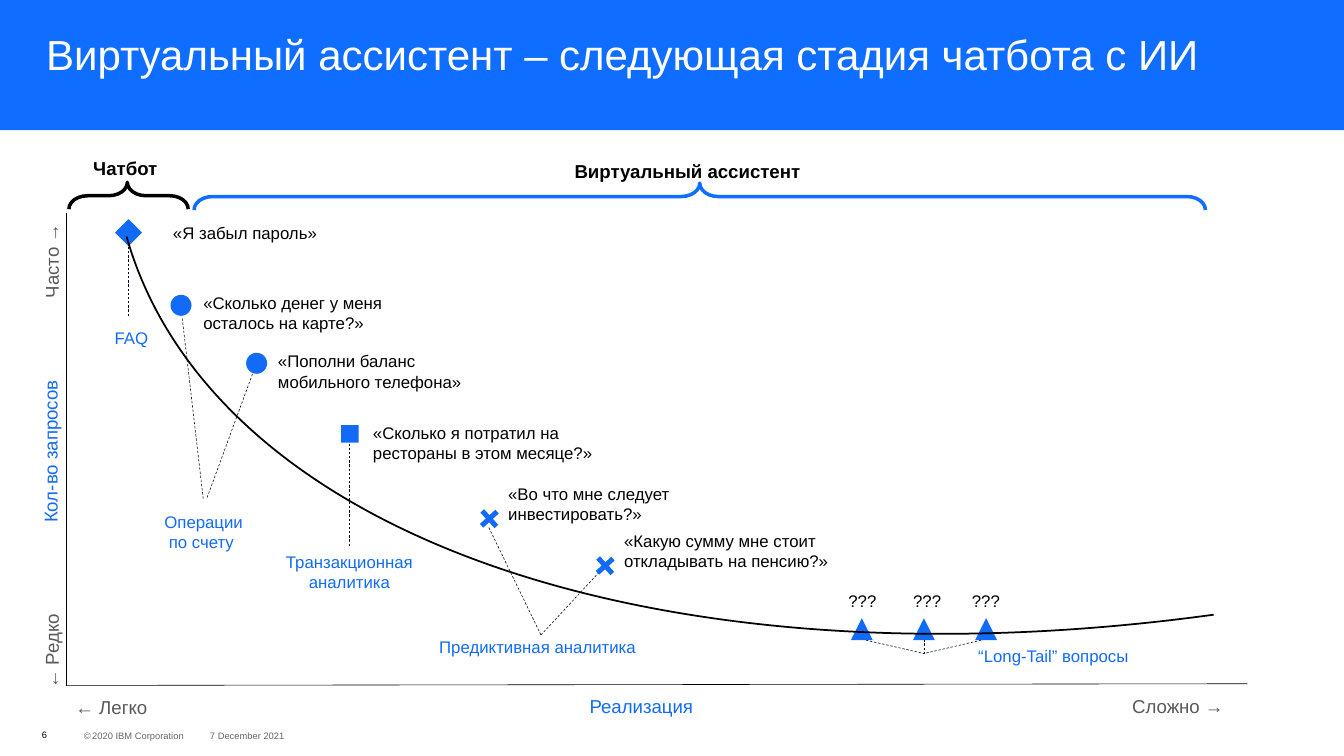
"""Builds a slide on moving from a chatbot to a virtual assistant."""
from dataclasses import dataclass

import lxml.etree
import pptx
import pptx.dml.color
import pptx.enum.dml
import pptx.enum.shapes
import pptx.enum.text
import pptx.oxml.ns
import pptx.util

Inches = pptx.util.Inches
Shape = pptx.enum.shapes.MSO_SHAPE
Align = pptx.enum.text.PP_ALIGN
Anchor = pptx.enum.text.MSO_ANCHOR


@dataclass(frozen=True)
class Theme:
    font: str = "Arial"
    banner: str = "0F6DFF"
    accent: str = "126BF6"
    ink: str = "000000"
    white: str = "FFFFFF"
    axis_end: str = "595959"
    footer: str = "666666"
    leader: str = "030C2C"
    title_size: float = 36
    axis_size: float = 16
    label_size: float = 14.4
    footer_size: float = 8
    gap_size: float = 4
    thin: float = 0.5
    curve: float = 1.5
    brace: float = 3


class SlideBuilder:
    def __init__(self, slide, theme):
        self.shapes = slide.shapes
        self.theme = theme

    def color(self, value):
        return pptx.dml.color.RGBColor.from_string(value)

    def text(self, box, runs, color, align=Align.LEFT, inset=(0, 0), rotation=0,
             bold=False, anchor=Anchor.TOP, spacing=None):
        label = self.shapes.add_textbox(*map(Inches, box))
        label.rotation = rotation
        frame = label.text_frame
        frame.word_wrap = True
        frame.vertical_anchor = anchor
        frame.margin_left = frame.margin_right = Inches(inset[0])
        frame.margin_top = frame.margin_bottom = Inches(inset[1])
        paragraph = frame.paragraphs[0]
        paragraph.alignment = align
        if spacing:
            paragraph.line_spacing = spacing
        for words, size in runs:
            run = paragraph.add_run()
            run.text = words
            run.font.name = self.theme.font
            run.font.size = pptx.util.Pt(size)
            run.font.bold = bold
            run.font.color.rgb = self.color(color)

    def label(self, box, words, color, align=Align.LEFT):
        self.text(box, [(words, self.theme.label_size)], color, align)

    def axis_label(self, box, words, color, align=Align.LEFT, rotation=0):
        self.text(box, [(words, self.theme.axis_size)], color, align, (0.1, 0.05), rotation)

    def footer(self, box, runs, color):
        self.text(box, runs, color, anchor=Anchor.MIDDLE)

    def preset(self, kind, box, rotation, adjustments):
        shape = self.shapes.add_shape(kind, *map(Inches, box))
        shape.shadow.inherit = False
        shape.rotation = rotation
        for index, value in enumerate(adjustments):
            shape.adjustments[index] = value
        return shape

    def solid(self, kind, box, color, rotation=0, adjustments=()):
        shape = self.preset(kind, box, rotation, adjustments)
        shape.fill.solid()
        shape.fill.fore_color.rgb = self.color(color)
        shape.line.fill.background()

    def outline(self, kind, box, color, width, rotation, adjustments):
        shape = self.preset(kind, box, rotation, adjustments)
        shape.fill.background()
        shape.line.color.rgb = self.color(color)
        shape.line.width = pptx.util.Pt(width)

    def line(self, start, end, color, dashed=False):
        connector = self.shapes.add_connector(
            pptx.enum.shapes.MSO_CONNECTOR.STRAIGHT, *map(Inches, (*start, *end)))
        connector.line.color.rgb = self.color(color)
        connector.line.width = pptx.util.Pt(self.theme.thin)
        if dashed:
            connector.line.dash_style = pptx.enum.dml.MSO_LINE.DASH
        lxml.etree.SubElement(connector._element.spPr, pptx.oxml.ns.qn("a:effectLst"))


def draw_header_and_footer(page, theme):
    page.solid(Shape.RECTANGLE, (0, 0, 16, 1.55), theme.banner)
    page.text((0.55, 0.41, 15, 1.25),
              [("Виртуальный ассистент – следующая стадия чатбота c ИИ", theme.title_size)],
              theme.white, spacing=0.9)
    size = theme.footer_size
    page.footer((0.5, 8.63, 0.36, 0.24), [("6", size)], theme.ink)
    page.footer((1, 8.64, 1.4, 0.24),
                [("©", size), (" ", theme.gap_size), ("2020 IBM Corporation", size)],
                theme.footer)
    page.footer((2.5, 8.64, 1.5, 0.24), [("7 December 2021", size)], theme.footer)


def draw_axes(page, theme):
    for box, words, rotation in [
        ((0.8, 8.24, 4.72, 0.37), "← Легко", 0),
        ((13.38, 8.22, 1.47, 0.37), "Сложно →", 0),
        ((-0.14, 7.36, 1.51, 0.37), "← Редко", 270),
        ((0.01, 2.86, 1.21, 0.37), "Часто →", 270),
    ]:
        page.axis_label(box, words, theme.axis_end, rotation=rotation)
    page.axis_label((6.58, 8.22, 2.11, 0.37), "Реализация", theme.accent, Align.CENTER)
    page.axis_label((-0.73, 5.19, 2.66, 0.37), "Кол-во запросов", theme.accent,
                    Align.CENTER, 270)
    page.line((0.79, 2.54), (0.79, 8.17), theme.ink)
    page.line((14.85, 8.14), (0.8, 8.16), theme.ink)


def draw_requests(page, theme):
    for start, end in [
        ((1.53, 2.94), (1.53, 3.76)),
        ((2.17, 3.79), (2.42, 5.94)),
        ((3.04, 4.36), (2.46, 5.94)),
        ((4.16, 5.28), (4.16, 6.5)),
        ((5.82, 6.28), (6.44, 7.56)),
        ((7.2, 6.74), (6.44, 7.56)),
        ((10.26, 7.61), (11, 7.78)),
        ((11, 7.61), (11, 7.78)),
        ((11.73, 7.61), (11, 7.78)),
    ]:
        page.line(start, end, theme.leader, dashed=True)

    for kind, left, top, side in [
        (Shape.DIAMOND, 1.37, 2.61, 0.32),
        (Shape.OVAL, 2.03, 3.51, 0.25),
        (Shape.OVAL, 2.93, 4.2, 0.25),
        (Shape.RECTANGLE, 4.06, 5.06, 0.21),
    ]:
        page.solid(kind, (left, top, side, side), theme.accent)
    for left, top in [(5.7, 6.05), (7.08, 6.61)]:
        page.solid(Shape.CROSS, (left, top, 0.25, 0.25), theme.accent, 47.6, [0.38])
    for index, unknown_left in enumerate([10.1, 10.87, 11.57]):
        page.solid(Shape.ISOSCELES_TRIANGLE, (10.13 + 0.74 * index, 7.36, 0.26, 0.26),
                   theme.accent)
        page.label((unknown_left, 7.03, 0.35, 0.24), "???", theme.ink)

    for box, question in [
        ((2.06, 2.65, 4.03, 0.24), "«Я забыл пароль»"),
        ((2.42, 3.48, 2.84, 0.48), "«Сколько денег у меня осталось на карте?»"),
        ((3.31, 4.18, 2.56, 0.48), "«Пополни баланс мобильного телефона»"),
        ((4.44, 5.03, 3.21, 0.48), "«Сколько я потратил на рестораны в этом месяце?»"),
        ((6.05, 5.76, 2.57, 0.48), "«Во что мне следует инвестировать?»"),
        ((7.43, 6.32, 2.57, 0.48), "«Какую сумму мне стоит откладывать на пенсию?»"),
    ]:
        page.label(box, question, theme.ink)
    for box, category in [
        ((1.26, 3.9, 0.61, 0.24), "FAQ"),
        ((1.86, 6.09, 1.13, 0.48), "Операции по счету "),
        ((3.2, 6.57, 1.92, 0.48), "Транзакционная аналитика"),
        ((5.1, 7.58, 2.6, 0.24), "Предиктивная аналитика"),
        ((10.92, 7.69, 3.24, 0.24), "“Long-Tail” вопросы"),
    ]:
        page.label(box, category, theme.accent, Align.CENTER)
    page.outline(Shape.ARC, (0.94, -9.38, 29.97, 16.23), theme.ink, theme.curve,
                 164.2, [177.34, 0])


def draw_stages(page, theme):
    for brace, color, tip, caption, words in [
        ((1.37, 1.62, 0.32, 1.42), theme.ink, 0.51, (1.11, 1.87, 0.95, 0.27), "Чатбот"),
        ((8.17, -3.68, 0.32, 12.04), theme.banner, 0.5, (6.84, 1.9, 2.98, 0.27),
         "Виртуальный ассистент"),
    ]:
        page.outline(Shape.LEFT_BRACE, brace, color, theme.brace, 90, [0.69, tip])
        page.text(caption, [(words, theme.axis_size)], theme.ink, bold=True)


def main():
    deck = pptx.Presentation()
    deck.slide_width, deck.slide_height = Inches(16), Inches(9)
    theme = Theme()
    page = SlideBuilder(deck.slides.add_slide(deck.slide_layouts[6]), theme)
    for draw in (draw_header_and_footer, draw_axes, draw_requests, draw_stages):
        draw(page, theme)
    deck.save("out.pptx")


if __name__ == "__main__":
    main()
